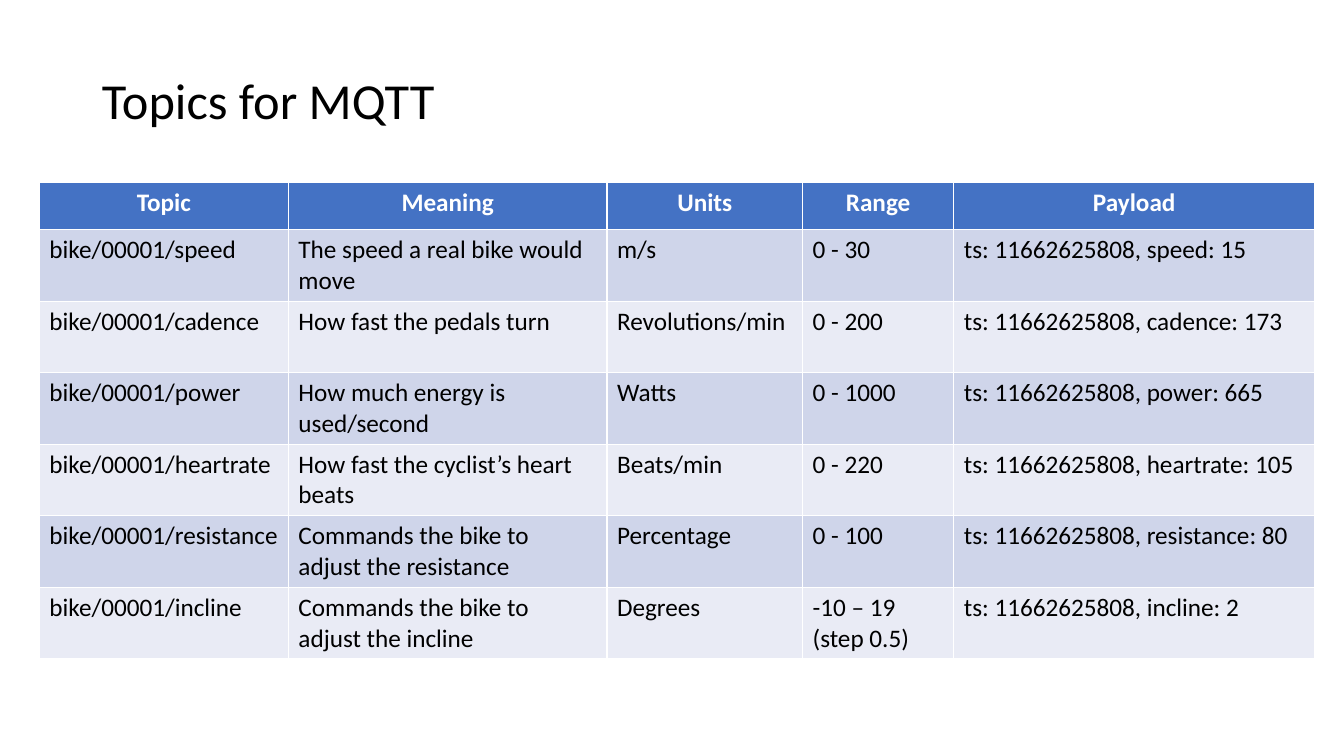
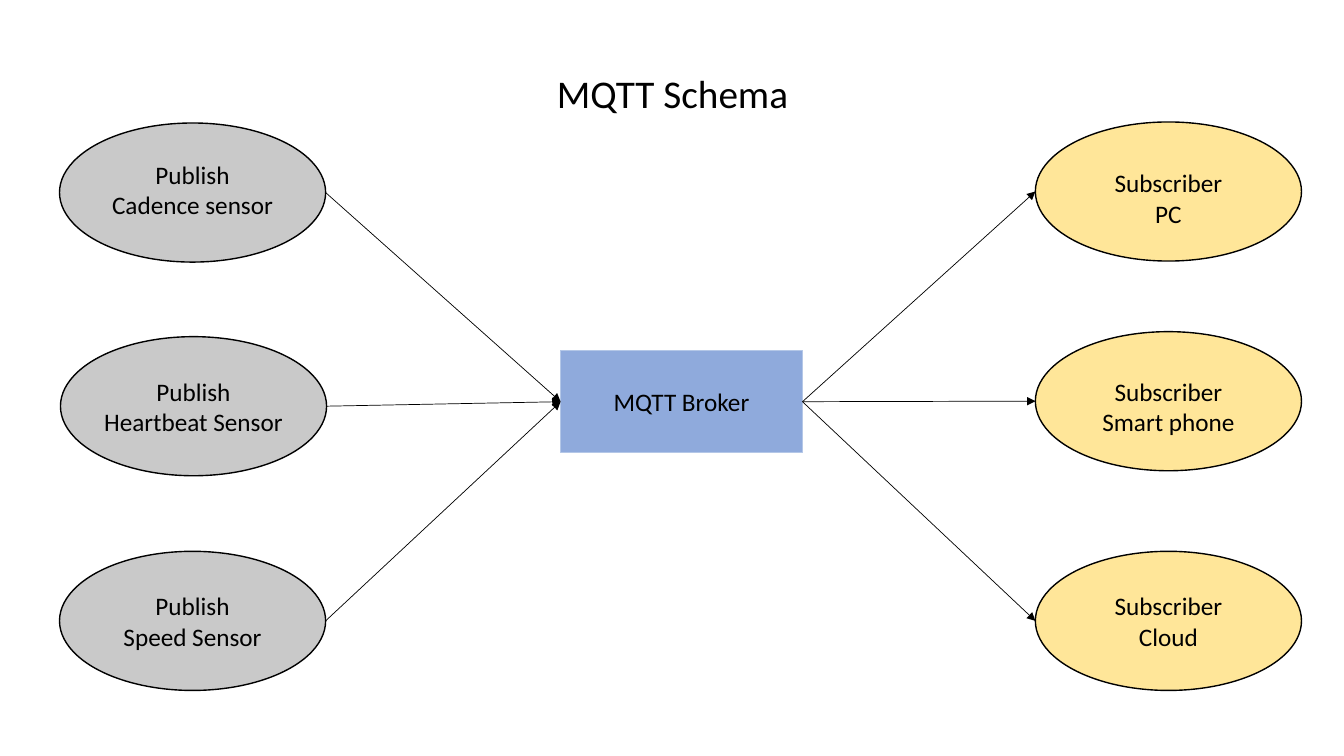
"""Build two slides on MQTT: a table of bike topics and a publish/subscribe schema."""
from dataclasses import dataclass

from lxml.etree import SubElement
from pptx import Presentation
from pptx.dml.color import RGBColor as RGB
from pptx.enum.shapes import MSO_CONNECTOR as CONN, MSO_SHAPE as SHAPE
from pptx.enum.text import MSO_ANCHOR as ANCHOR, MSO_AUTO_SIZE as AUTO, PP_ALIGN as ALIGN
from pptx.oxml.ns import qn
from pptx.util import Inches, Pt


@dataclass(frozen=True)
class Theme:
    font: str = "Calibri"
    ink: RGB = RGB(0, 0, 0)
    white: RGB = RGB(255, 255, 255)
    header: RGB = RGB.from_string("4472C4")
    bands: tuple = (RGB.from_string("CFD5EA"), RGB.from_string("E9EBF5"))
    broker: RGB = RGB.from_string("8FAADC")
    broker_line: RGB = RGB.from_string("B4C7E7")
    publisher: RGB = RGB.from_string("C9C9C9")
    subscriber: RGB = RGB.from_string("FFE699")
    body: int = 18
    titles: tuple = (36, 28)


T = Theme()
prs = Presentation()
prs.slide_width, prs.slide_height = Inches(13.33), Inches(7.5)
COL, ROW = prs.slide_width / 100, prs.slide_height / 100


def grid(*lengths):
    """Turn alternating column and row counts of a 100 by 100 grid into EMU."""
    return [round(n * (ROW if i % 2 else COL)) for i, n in enumerate(lengths)]


def write(tf, text, size=T.body, color=T.ink, align=ALIGN.CENTER, bold=False):
    """Set the text of a frame and format every paragraph alike."""
    tf.text = text
    for p in tf.paragraphs:
        p.alignment = align
        for r in p.runs:
            r.font.name, r.font.size, r.font.bold = T.font, Pt(size), bold
            r.font.color.rgb = color


titles = [
    ("Topics for MQTT", (6.83, 8.4, 26.48, 9.47), ALIGN.LEFT),
    ("MQTT Schema", (40.59, 8.53, 18.9, 7.6), ALIGN.CENTER),
]
slides = []
for (text, box, align), size in zip(titles, T.titles):
    s = prs.slides.add_slide(prs.slide_layouts[5])
    title = s.shapes.title
    title.left, title.top, title.width, title.height = grid(*box)
    tf = title.text_frame
    write(tf, text, size, align=align)
    tf.word_wrap, tf.auto_size = False, AUTO.NONE
    tf.vertical_anchor = ANCHOR.MIDDLE
    slides.append(s)
topics, schema = slides

headings = ["Topic", "Meaning", "Units", "Range", "Payload"]
measures = [
    ("speed", "The speed a real bike would move", "m/s", "0 - 30", 15),
    ("cadence", "How fast the pedals turn", "Revolutions/min", "0 - 200", 173),
    ("power", "How much energy is used/second", "Watts", "0 - 1000", 665),
    ("heartrate", "How fast the cyclist’s heart beats", "Beats/min", "0 - 220", 105),
    ("resistance", "Commands the bike to adjust the resistance", "Percentage", "0 - 100", 80),
    ("incline", "Commands the bike to adjust the incline", "Degrees", "-10 – 19 (step 0.5)", 2),
]
rows = [headings] + [
    [f"bike/00001/{name}", meaning, units, span, f"ts: 11662625808, {name}: {value}"]
    for name, meaning, units, span, value in measures
]
widths = [18.53, 23.71, 14.55, 11.25, 26.86]
heights = [6.27] + [9.4] * len(measures)
table = topics.shapes.add_table(
    len(rows), len(widths), *grid(2.93, 24.13, sum(widths), sum(heights))
).table
for column, width in zip(table.columns, widths):
    column.width = round(width * COL)
for i, (row, height) in enumerate(zip(rows, heights)):
    table.rows[i].height = round(height * ROW)
    for j, text in enumerate(row):
        cell = table.cell(i, j)
        cell.fill.solid()
        if i == 0:
            cell.fill.fore_color.rgb = T.header
            write(cell.text_frame, text, color=T.white, bold=True)
        else:
            cell.fill.fore_color.rgb = T.bands[(i - 1) % 2]
            write(cell.text_frame, text, align=ALIGN.LEFT)

node_w, node_h = 19.8, 18.4
broker_x, broker_y, broker_w, broker_h = 41.71, 46.4, 18, 13.47
hub_y = broker_y + broker_h / 2
pub_x, sub_x = 4.43, 77.04
nodes = [
    ("Publish\nCadence sensor", pub_x, 16.27, -0.45),
    ("Publish\nHeartbeat Sensor", pub_x + 0.07, 44.53, 0),
    ("Publish\nSpeed Sensor", pub_x, 72.93, 0),
    ("Subscriber\nPC", sub_x, 16.13, 0.85),
    ("Subscriber\nSmart phone", sub_x, 43.87, 0.7),
    ("Subscriber\nCloud", sub_x, 72.93, 0),
]
shapes = [(SHAPE.RECTANGLE, "MQTT Broker", (broker_x, broker_y, broker_w, broker_h),
           T.broker, T.broker_line, 0)]
links = []
for text, x, y, shift in nodes:
    publishes = x < broker_x
    fill = T.publisher if publishes else T.subscriber
    shapes.append((SHAPE.OVAL, text, (x, y, node_w, node_h), fill, T.ink, shift))
    mid_y = y + node_h / 2
    links.append((x + node_w, mid_y, broker_x, hub_y) if publishes
                 else (broker_x + broker_w, hub_y, x, mid_y))

for kind, text, box, fill, line, shift in shapes:
    sp = schema.shapes.add_shape(kind, *grid(*box))
    sp.shadow.inherit = False
    sp.fill.solid()
    sp.fill.fore_color.rgb = fill
    sp.line.color.rgb, sp.line.width = line, Pt(1)
    tf = sp.text_frame
    write(tf, text)
    tf.word_wrap, tf.vertical_anchor = False, ANCHOR.MIDDLE
    tf.margin_top, tf.margin_bottom = round((1 + shift) * ROW), round((1 - shift) * ROW)

for ends in links:
    arrow = schema.shapes.add_connector(CONN.STRAIGHT, *grid(*ends))
    arrow.line.color.rgb, arrow.line.width = T.ink, Pt(0.5)
    SubElement(arrow.line._get_or_add_ln(), qn("a:tailEnd"), type="triangle")
    SubElement(arrow._element.spPr, qn("a:effectLst"))

prs.save("out.pptx")
